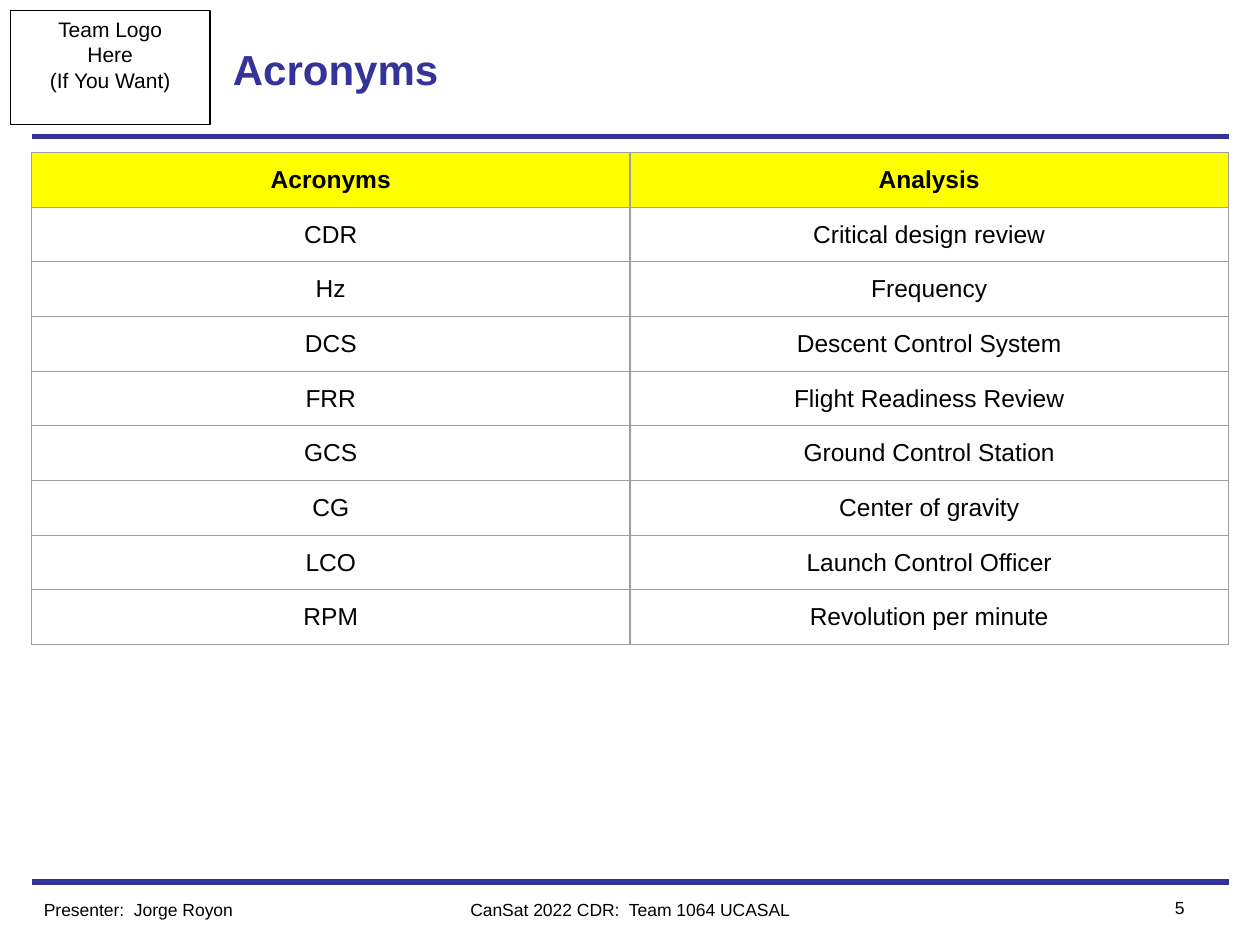
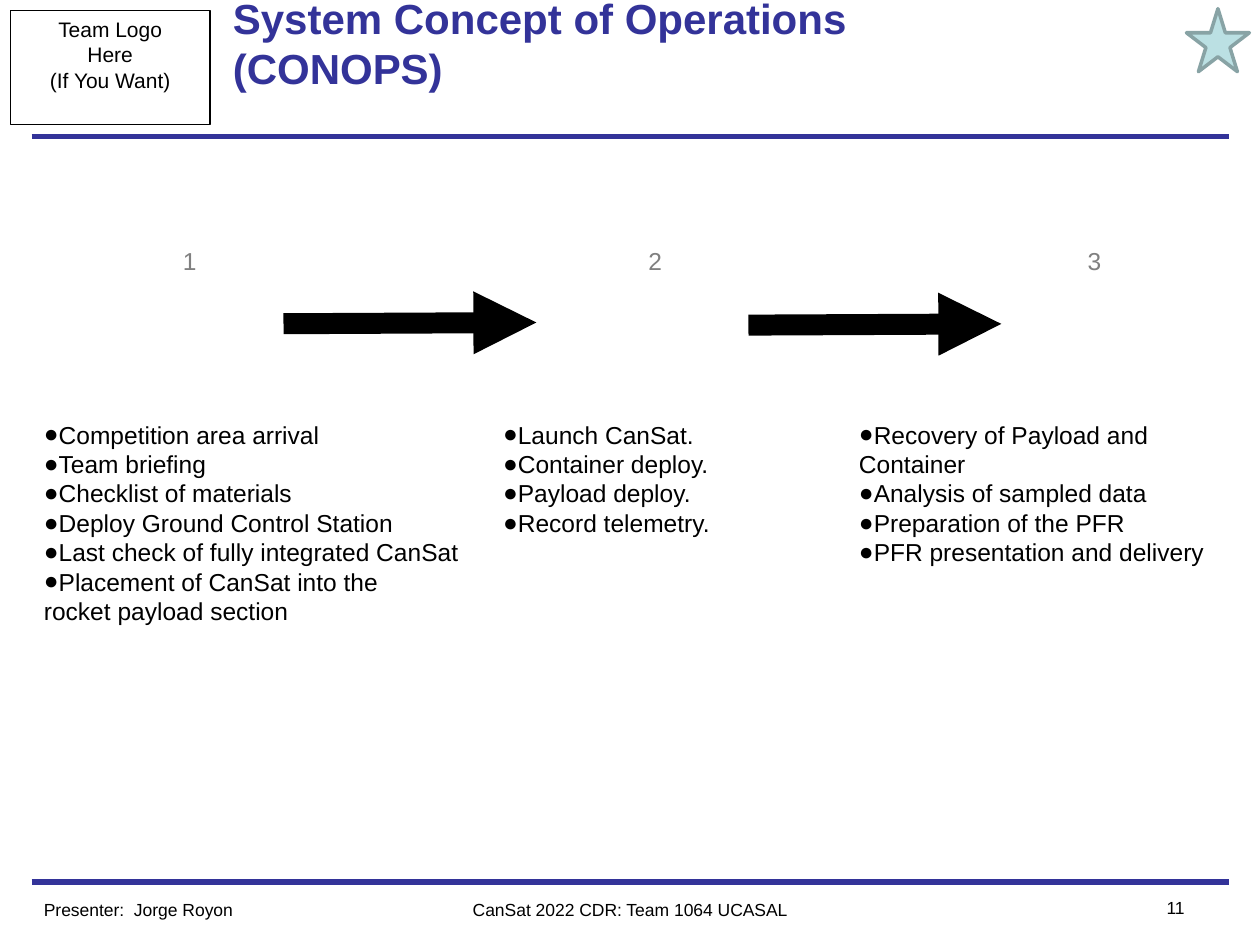
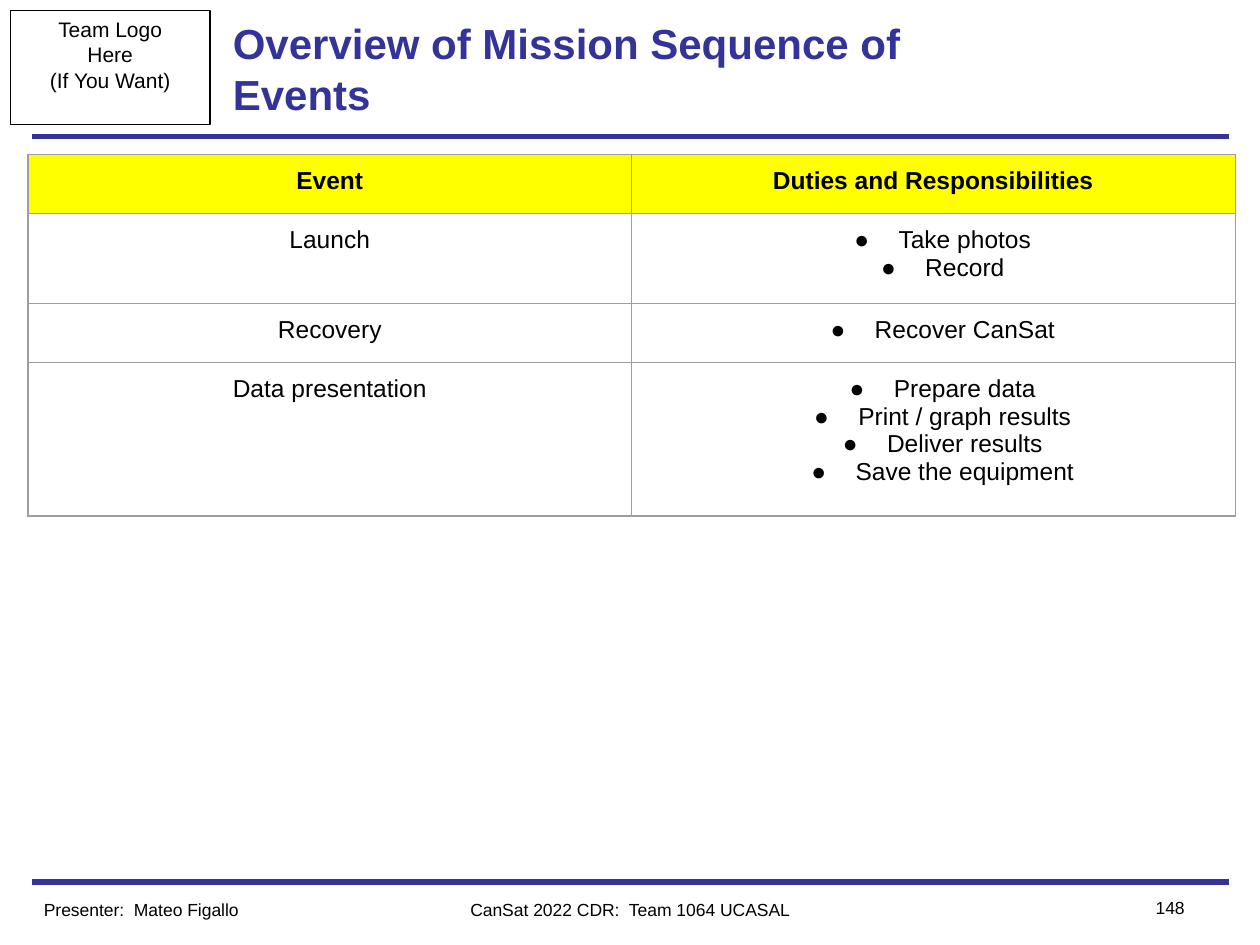
"""Build three CanSat review slides: acronyms, concept of operations and mission events."""
from lxml import etree
from pptx import Presentation
from pptx.dml import color
from pptx.enum import shapes, text
from pptx.oxml import ns
from pptx.util import Pt

COLORS = {"navy": "333399", "black": "000000", "grey": "808080", "yellow": "FFFF00",
          "border": "9E9E9E", "star": "BBE0E3", "star_edge": "88A3A5"}
FONT = "Arial"
LEFT, CENTER, RIGHT = text.PP_ALIGN.LEFT, text.PP_ALIGN.CENTER, text.PP_ALIGN.RIGHT
TOP, MIDDLE = text.MSO_ANCHOR.TOP, text.MSO_ANCHOR.MIDDLE


def rgb(name):
    return color.RGBColor.from_string(COLORS[name])


def add_tag(parent, tag, **attributes):
    return etree.SubElement(parent, ns.qn(tag), attributes)


class Slides:
    def __init__(self):
        self.deck = Presentation()
        self.deck.slide_width, self.deck.slide_height = Pt(720), Pt(540)
        self.page = None

    def start(self, title, number, presenter, footer, title_bottom=3.6):
        self.page = self.deck.slides.add_slide(self.deck.slide_layouts[6])
        for y in (504, 78):
            self.line((18, y), (702, y), "navy", 3)
        logo_box = self.shape(shapes.MSO_SHAPE.RECTANGLE, (6, 6, 114, 65), None, "black", 0.75)
        self.fill_text(logo_box.text_frame, ["Team Logo", "Here", "(If You Want)"], 12,
                       align=CENTER)
        self.text((126, 6, 426, 66), [title], 24, "navy", bold=True, anchor=MIDDLE,
                  insets=(7.2, 3.6, 7.2, title_bottom))
        self.text((216, 510, 288, 19.5), [footer], 10, align=CENTER)
        self.text((630, 509, 54, 19.5), [number], 10, align=RIGHT)
        self.text((18, 510, 180, 19.5), ["Presenter:  " + presenter], 10)

    def fill_text(self, frame, lines, size, ink="black", bold=False, align=LEFT,
                  anchor=TOP, bullet=None):
        frame.word_wrap = True
        frame.vertical_anchor = anchor
        for index, line in enumerate(lines):
            para = frame.paragraphs[0] if index == 0 else frame.add_paragraph()
            para.alignment = align
            if bullet:
                self.bullet(para, *bullet)
            for part_index, part in enumerate(line.split("\n")):
                if part_index:
                    para.add_line_break()
                span = para.add_run()
                span.text = part
                span.font.name, span.font.size, span.font.bold = FONT, Pt(size), bold
                span.font.color.rgb = rgb(ink)

    def bullet(self, para, margin, indent):
        props = para._p.get_or_add_pPr()
        props.set("marL", str(Pt(margin)))
        props.set("indent", str(Pt(indent)))
        add_tag(add_tag(props, "a:buClr"), "a:srgbClr", val=COLORS["black"])
        add_tag(props, "a:buFont", typeface=FONT)
        add_tag(props, "a:buChar", char="●")

    def text(self, place, lines, size, ink="black", insets=(7.2, 3.6, 7.2, 3.6), **style):
        box = self.page.shapes.add_textbox(*map(Pt, place))
        frame = box.text_frame
        (frame.margin_left, frame.margin_top,
         frame.margin_right, frame.margin_bottom) = map(Pt, insets)
        self.fill_text(frame, lines, size, ink, **style)

    def shape(self, kind, place, fill, edge, width):
        shape = self.page.shapes.add_shape(kind, *map(Pt, place))
        shape.shadow.inherit = False
        if fill:
            shape.fill.solid()
            shape.fill.fore_color.rgb = rgb(fill)
        else:
            shape.fill.background()
        shape.line.color.rgb = rgb(edge)
        shape.line.width = Pt(width)
        return shape

    def line(self, start, end, ink, width, arrow=False):
        line = self.page.shapes.add_connector(shapes.MSO_CONNECTOR.STRAIGHT,
                                              *map(Pt, start + end))
        line.line.color.rgb = rgb(ink)
        line.line.width = Pt(width)
        if arrow:
            add_tag(line.line._get_or_add_ln(), "a:tailEnd", type="triangle")
        add_tag(line._element.spPr, "a:effectLst")

    def table(self, left, top, column_width, heights, rows, anchor=TOP):
        frame = self.page.shapes.add_table(len(rows), len(rows[0]), Pt(left), Pt(top),
                                           Pt(column_width * len(rows[0])), Pt(sum(heights)))
        table = frame.table
        table.first_row = table.horz_banding = False
        for column in table.columns:
            column.width = Pt(column_width)
        for row_index, (row, height) in enumerate(zip(rows, heights)):
            table.rows[row_index].height = Pt(height)
            for column_index, content in enumerate(row):
                self.cell(table.cell(row_index, column_index), content, row_index == 0, anchor)

    def cell(self, cell, content, header, anchor):
        cell.margin_left = cell.margin_right = cell.margin_top = cell.margin_bottom = Pt(7.2)
        props = cell._tc.get_or_add_tcPr()
        for side in ("a:lnL", "a:lnR", "a:lnT", "a:lnB"):
            border = add_tag(props, side, w=str(Pt(0.75)))
            add_tag(add_tag(border, "a:solidFill"), "a:srgbClr", val=COLORS["border"])
        if header:
            cell.fill.solid()
            cell.fill.fore_color.rgb = rgb("yellow")
        else:
            cell.fill.background()
        listed = isinstance(content, list)
        self.fill_text(cell.text_frame, content if listed else [content], 14, bold=header,
                       align=CENTER, bullet=(36, -25.2) if listed else None)
        cell.vertical_anchor = anchor


def acronyms(slides):
    slides.start("Acronyms", "5", "Jorge Royon", "CanSat 2022 CDR:  Team 1064 UCASAL")
    rows = [
        ("Acronyms", "Analysis"),
        ("CDR", "Critical design review"),
        ("Hz", "Frequency"),
        ("DCS", "Descent Control System"),
        ("FRR", "Flight Readiness Review"),
        ("GCS", "Ground Control Station"),
        ("CG", "Center of gravity"),
        ("LCO", "Launch Control Officer"),
        ("RPM", "Revolution per minute"),
    ]
    slides.table(18, 87.2, 342, [31.15] * len(rows), rows, anchor=MIDDLE)


def operations(slides):
    slides.start("System Concept of Operations (CONOPS)", "11", "Jorge Royon",
                 "CanSat 2022 CDR: Team 1064 UCASAL", title_bottom=32.4)
    slides.shape(shapes.MSO_SHAPE.STAR_5_POINT, (678, 5, 36, 36), "star", "star_edge", 2)
    stages = [
        ("1", 108.4, 18, 262, ["Competition area arrival", "Team briefing",
                               "Checklist of materials", "Deploy Ground Control Station",
                               "Last check of fully integrated CanSat",
                               "Placement of CanSat into the\nrocket payload section"]),
        ("2", 374.4, 280.4, 236, ["Launch CanSat.", "Container deploy.",
                                  "Payload deploy.", "Record telemetry."]),
        ("3", 625.4, 483.8, 236, ["Recovery of Payload and Container",
                                  "Analysis of sampled data", "Preparation of the PFR",
                                  "PFR presentation and delivery"]),
    ]
    for number, middle, left, width, steps in stages:
        slides.text((middle - 30, 136.8, 60, 96), [number], 14, "grey", align=CENTER)
        slides.text((left, 232.6, width, 133), steps, 14, insets=(7.2,) * 4, bullet=(0, 0))
    for x, y in ((162, 185), (427.7, 185.8)):
        slides.line((x, y), (x + 144.5, y - 0.7), "black", 12, arrow=True)


def mission_events(slides):
    slides.start("Overview of Mission Sequence of Events", "148", "Mateo Figallo",
                 "CanSat 2022 CDR:  Team 1064 UCASAL")
    slides.table(16, 88.3, 344.9, [33.8, 51.5, 33.8, 87.5], [
        ("Event", "Duties and Responsibilities"),
        ("Launch", ["Take photos", "Record"]),
        ("Recovery", ["Recover CanSat"]),
        ("Data presentation", ["Prepare data", "Print / graph results",
                               "Deliver results", "Save the equipment"]),
    ])


def main():
    slides = Slides()
    acronyms(slides)
    operations(slides)
    mission_events(slides)
    slides.deck.save("out.pptx")


if __name__ == "__main__":
    main()
